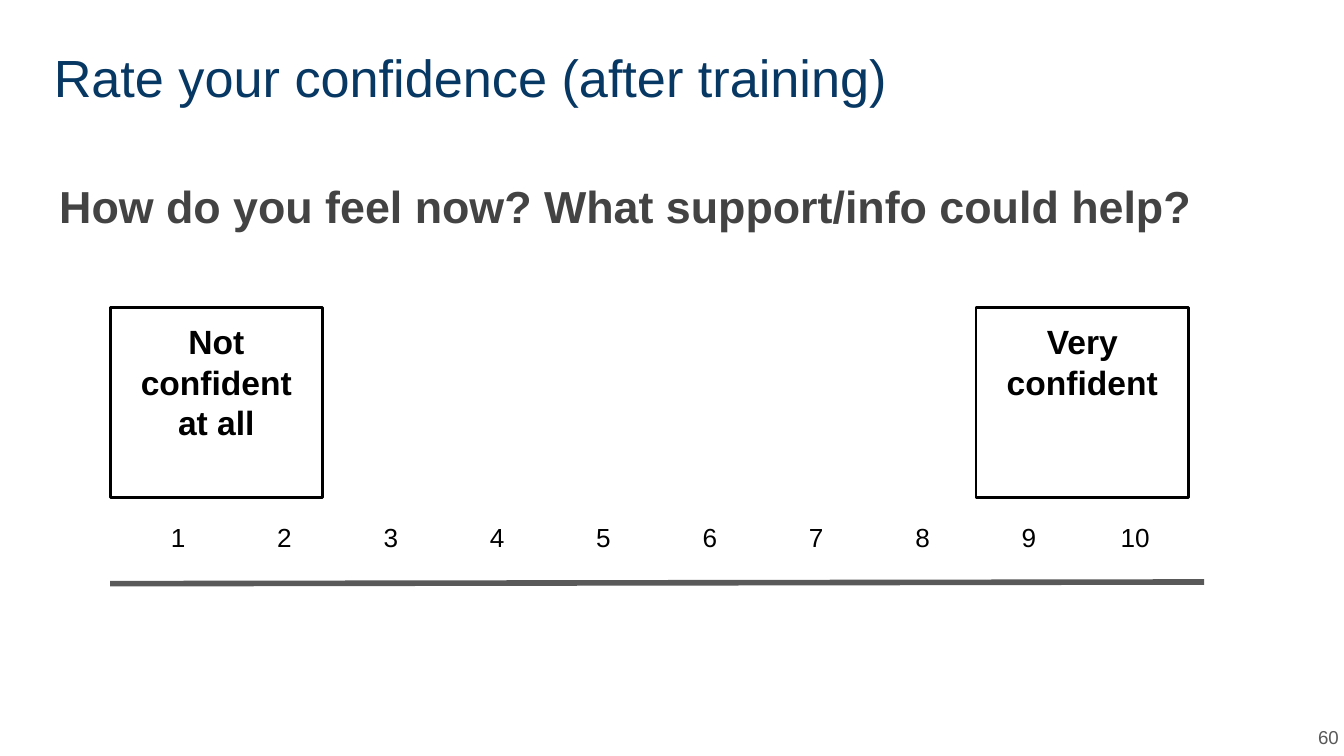
from lxml import etree
from pptx import Presentation
from pptx.dml.color import RGBColor
from pptx.enum.shapes import MSO_CONNECTOR, MSO_SHAPE
from pptx.enum.text import MSO_ANCHOR, MSO_AUTO_SIZE, PP_ALIGN
from pptx.oxml.ns import qn
from pptx.util import Pt

LEFT, CENTER, RIGHT = PP_ALIGN.LEFT, PP_ALIGN.CENTER, PP_ALIGN.RIGHT
TOP, MIDDLE = MSO_ANCHOR.TOP, MSO_ANCHOR.MIDDLE
NO_AUTOFIT = MSO_AUTO_SIZE.NONE
RECTANGLE, STRAIGHT = MSO_SHAPE.RECTANGLE, MSO_CONNECTOR.STRAIGHT

# Content
TITLE = "Rate your confidence (after training)"
QUESTION = "How do you feel now? What support/info could help?"
SCALE_ENDS = ["Not confident at all", "Very confident"]
RATINGS = [str(number) for number in range(1, 11)]
PAGE_NUMBER = "60"

# Look
THEME = {
    "font": "Arial",
    "inset": 7.2,
    "outline": ("000000", 1.5),
    "axis": ("595959", 3),
    "title": {"size": 28, "color": "073763", "bold": False},
    "question": {"size": 24, "color": "434343", "bold": True},
    "scale end": {"size": 18, "color": "000000", "bold": True},
    "rating": {"size": 14, "color": "000000", "bold": False},
    "page number": {"size": 10, "color": "595959", "bold": False},
}

# Places in points: left, top, width, height
PAGE_SIZE = (720, 405)
TITLE_AREA = (21.6, 17.3, 674, 45.4)
QUESTION_AREA = (24.5, 84.2, 671, 275.8)
FIRST_END_AREA = (59, 164.9, 113.8, 101.5)
END_PITCH = 463.9
RATING_AREA = (66.9, 273.6, 570, 30.2)
AXIS_ENDS = (59, 312.7, 645.1, 311.8)
PAGE_NUMBER_AREA = (681.1, 379.4, 43.2, 31)


def points(values):
    return [Pt(value) for value in values]


def place(shape, area):
    for name, value in zip(("left", "top", "width", "height"), points(area)):
        setattr(shape, name, value)


def write(frame, text, style, align=LEFT, spacing=1.0):
    """Put one styled paragraph in a text frame or cell frame."""
    para = frame.paragraphs[0]
    layout = {"alignment": align, "line_spacing": spacing,
              "space_before": Pt(0), "space_after": Pt(0)}
    for name, value in layout.items():
        setattr(para, name, value)
    span = para.add_run()
    span.text = text
    look = THEME[style]
    font = {"name": THEME["font"], "size": Pt(look["size"]), "bold": look["bold"]}
    for name, value in font.items():
        setattr(span.font, name, value)
    span.font.color.rgb = RGBColor.from_string(look["color"])
    return para


def set_margins(target, anchor):
    for side in ("left", "top", "right", "bottom"):
        setattr(target, f"margin_{side}", Pt(THEME["inset"]))
    target.vertical_anchor = anchor


def fill_box(shape, text, style, align=LEFT, anchor=TOP, spacing=1.0):
    frame = shape.text_frame
    frame.word_wrap = True
    frame.auto_size = NO_AUTOFIT
    set_margins(frame, anchor)
    return write(frame, text, style, align, spacing)


def draw_line(line, style):
    color, width = THEME[style]
    line.color.rgb = RGBColor.from_string(color)
    line.width = Pt(width)


def remove_bullet(para):
    properties = para._p.get_or_add_pPr()
    properties.set("marL", "0")
    properties.set("indent", "0")
    etree.SubElement(properties, qn("a:buNone"))


def add_scale_ends(shapes):
    left, top, width, height = FIRST_END_AREA
    for index, text in enumerate(SCALE_ENDS):
        box = shapes.add_shape(
            RECTANGLE, *points((left + index * END_PITCH, top, width, height)))
        box.shadow.inherit = False
        box.fill.background()
        draw_line(box.line, "outline")
        fill_box(box, text, "scale end", CENTER)


def add_ratings(shapes):
    table = shapes.add_table(1, len(RATINGS), *points(RATING_AREA)).table
    table.first_row = table.horz_banding = False
    for cell, rating in zip(table.iter_cells(), RATINGS):
        cell.fill.background()
        set_margins(cell, TOP)
        write(cell.text_frame, rating, "rating", CENTER)


def add_axis(shapes):
    axis = shapes.add_connector(STRAIGHT, *points(AXIS_ENDS))
    draw_line(axis.line, "axis")
    etree.SubElement(axis._element.spPr, qn("a:effectLst"))


def main():
    deck = Presentation()
    deck.slide_width, deck.slide_height = points(PAGE_SIZE)
    page = deck.slides.add_slide(deck.slide_layouts[1])
    title, body = page.placeholders

    place(title, TITLE_AREA)
    fill_box(title, TITLE, "title")
    place(body, QUESTION_AREA)
    remove_bullet(fill_box(body, QUESTION, "question", spacing=1.15))

    add_axis(page.shapes)
    add_scale_ends(page.shapes)
    add_ratings(page.shapes)
    number = page.shapes.add_textbox(*points(PAGE_NUMBER_AREA))
    fill_box(number, PAGE_NUMBER, "page number", RIGHT, MIDDLE)

    deck.save("out.pptx")


if __name__ == "__main__":
    main()
